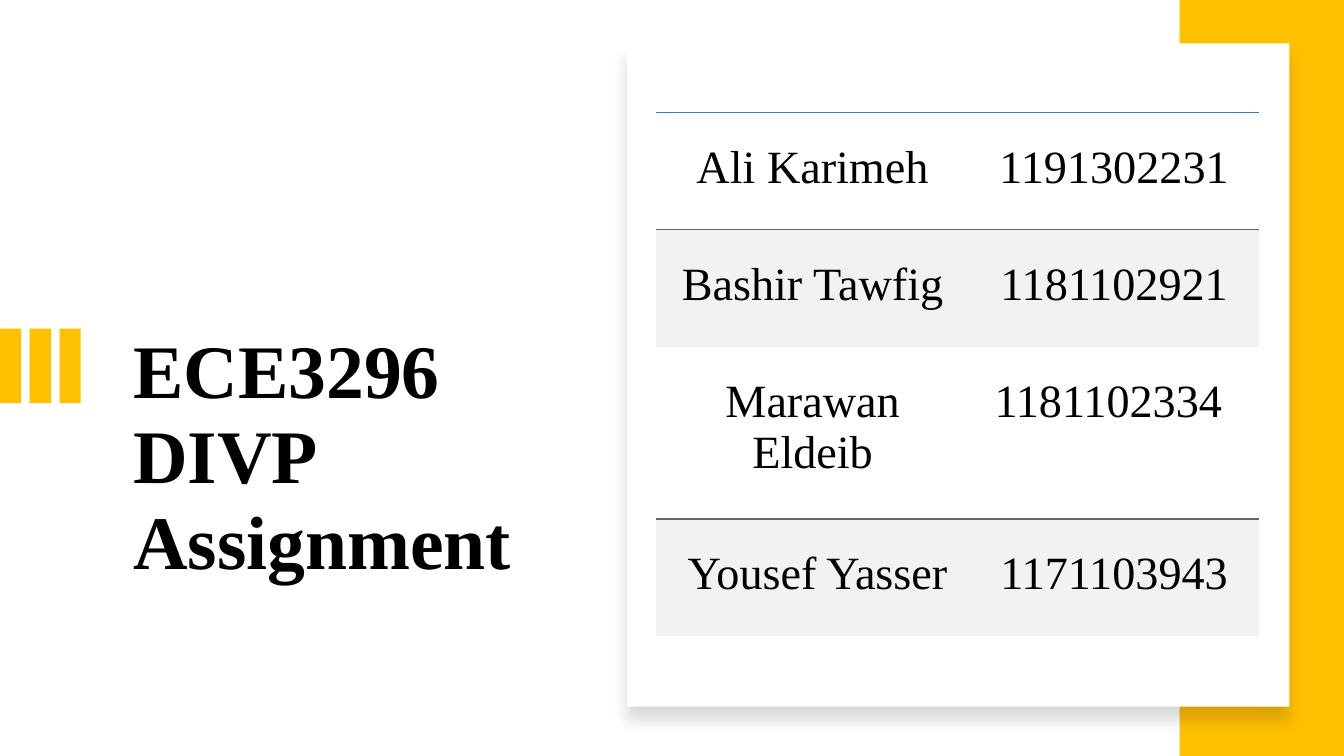
from lxml import etree
from pptx import Presentation
from pptx.dml.color import RGBColor
from pptx.enum.shapes import MSO_SHAPE
from pptx.enum.text import MSO_ANCHOR, MSO_AUTO_SIZE, PP_ALIGN
from pptx.oxml import parse_xml
from pptx.oxml.ns import nsdecls, qn
from pptx.util import Inches, Pt

TITLE = "ECE3296 DIVP Assignment"
STUDENTS = [
    ("Ali Karimeh", "1191302231"),
    ("Bashir Tawfig", "1181102921"),
    ("Marawan Eldeib", "1181102334 "),
    (" Yousef Yasser", "1171103943"),
]
COL_WIDTHS = (3.1, 2.88)
ROW_HEIGHTS = (1.16, 1.16, 1.71, 1.16)

FONT = "Times New Roman"
BLACK = RGBColor(0x00, 0x00, 0x00)
WHITE = RGBColor(0xFF, 0xFF, 0xFF)
AMBER = RGBColor(0xFF, 0xC0, 0x00)
BAND = RGBColor(0xF2, 0xF2, 0xF2)
BLUE = RGBColor(0x44, 0x72, 0xC4)
GREY = RGBColor(0x66, 0x66, 0x66)
PLAIN_TABLE = "{2D5ABB26-0587-4C30-8999-92F81FD0307C}"


def write(tf, text, size, bold=False, align=PP_ALIGN.LEFT, spacing=None):
    """Put one formatted paragraph in a text frame."""
    p = tf.paragraphs[0]
    p.alignment = align
    if spacing:
        p.line_spacing = spacing
    r = p.add_run()
    r.text = text
    r.font.name = FONT
    r.font.size = Pt(size)
    r.font.bold = bold
    r.font.color.rgb = BLACK


def add_rect(shapes, left, top, width, height, color):
    """Add a plain filled rectangle measured in inches."""
    sp = shapes.add_shape(MSO_SHAPE.RECTANGLE, Inches(left), Inches(top),
                          Inches(width), Inches(height))
    sp.fill.solid()
    sp.fill.fore_color.rgb = color
    sp.line.fill.background()
    sp.shadow.inherit = False
    return sp


def add_soft_shadow(sp):
    """Give a shape a faint shadow below it."""
    effects = sp._element.spPr.find(qn("a:effectLst"))
    effects.append(parse_xml(
        f'<a:outerShdw {nsdecls("a")} blurRad="{Pt(11)}" dist="{Pt(10)}" '
        'dir="5400000" algn="t" rotWithShape="0"><a:srgbClr val="000000">'
        '<a:alpha val="15000"/></a:srgbClr></a:outerShdw>'))


def set_border(cell, side, color):
    """Draw a one-point line on one side of a cell, before its fill."""
    tc_pr = cell._tc.get_or_add_tcPr()
    tc_pr.insert(0, parse_xml(
        f'<a:{side} {nsdecls("a")} w="{Pt(1)}"><a:solidFill>'
        f'<a:srgbClr val="{color}"/></a:solidFill></a:{side}>'))


def add_student_table(s):
    """Add the table of names and student numbers."""
    frame = s.shapes.add_table(
        len(STUDENTS), len(COL_WIDTHS), Inches(6.51), Inches(1.12),
        Inches(sum(COL_WIDTHS)), Inches(sum(ROW_HEIGHTS)))
    table = frame.table
    table.first_row = table.horz_banding = False
    style = table._tbl.tblPr.find(qn("a:tableStyleId"))
    if style is None:
        style = etree.SubElement(table._tbl.tblPr, qn("a:tableStyleId"))
    style.text = PLAIN_TABLE
    for column, width in zip(table.columns, COL_WIDTHS):
        column.width = Inches(width)
    for i, (student, height) in enumerate(zip(STUDENTS, ROW_HEIGHTS)):
        table.rows[i].height = Inches(height)
        for j, text in enumerate(student):
            cell = table.cell(i, j)
            cell.margin_left = cell.margin_right = Inches(0.14)
            cell.margin_top, cell.margin_bottom = Inches(0.29), Inches(0.28)
            write(cell.text_frame, text, 33, align=PP_ALIGN.CENTER)
            if i % 2:
                cell.fill.solid()
                cell.fill.fore_color.rgb = BAND
            else:
                cell.fill.background()
                set_border(cell, "lnB", GREY)
            if i == 0:
                set_border(cell, "lnT", BLUE)


def main():
    """Build the title slide with its student list."""
    prs = Presentation()
    prs.slide_width, prs.slide_height = Inches(13.33), Inches(7.5)
    s = prs.slides.add_slide(prs.slide_layouts[0])
    subtitle = s.placeholders[1]._element
    subtitle.getparent().remove(subtitle)

    title = s.shapes.title
    title.left, title.top = Inches(1.22), Inches(3.24)
    title.width, title.height = Inches(4.41), Inches(2.61)
    tf = title.text_frame
    tf.word_wrap = True
    tf.auto_size = MSO_AUTO_SIZE.NONE
    tf.vertical_anchor = MSO_ANCHOR.MIDDLE
    write(tf, TITLE, 54, bold=True, spacing=0.94)

    bars = s.shapes.add_group_shape()
    for i in range(3):
        add_rect(bars.shapes, i * 0.295, 3.26, 0.21, 0.74, AMBER)
    add_rect(s.shapes, 11.7, 0, 1.63, 7.5, AMBER)
    add_soft_shadow(add_rect(s.shapes, 6.22, 0.43, 6.57, 6.58, WHITE))
    add_student_table(s)
    prs.save("out.pptx")


if __name__ == "__main__":
    main()
